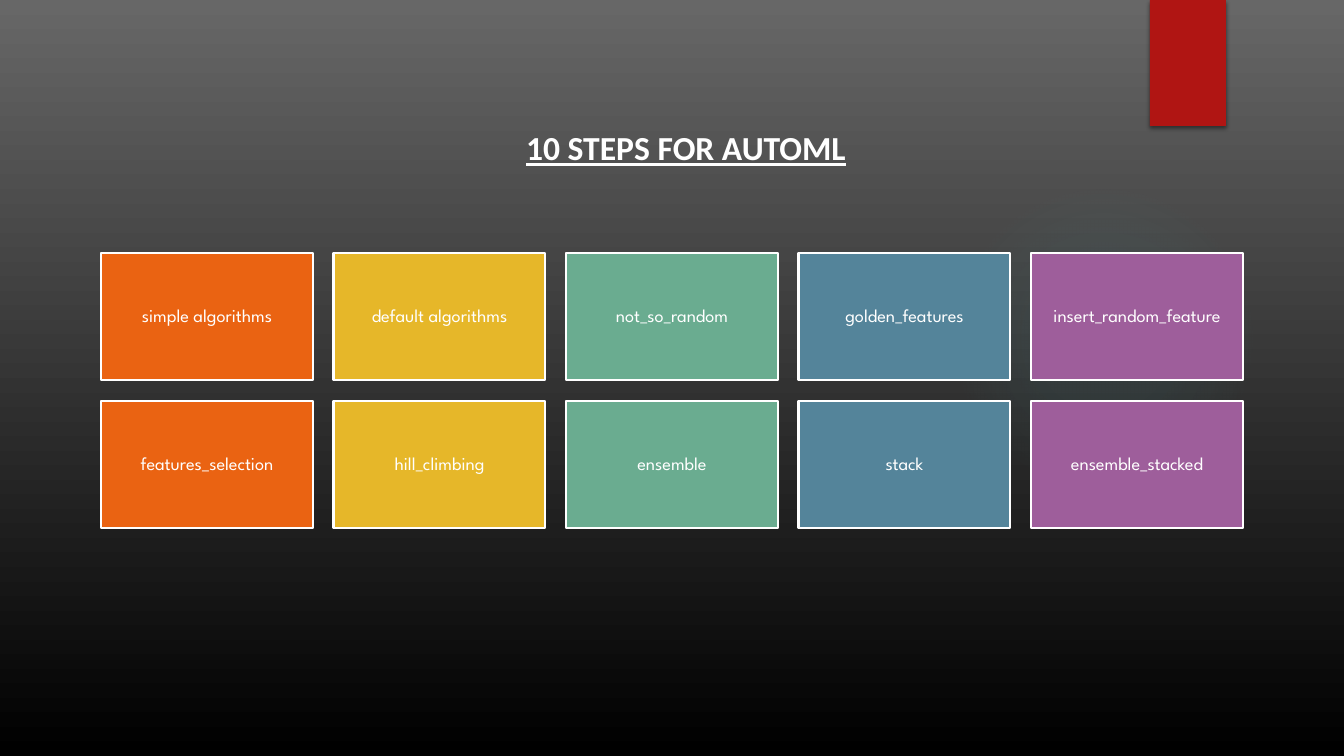
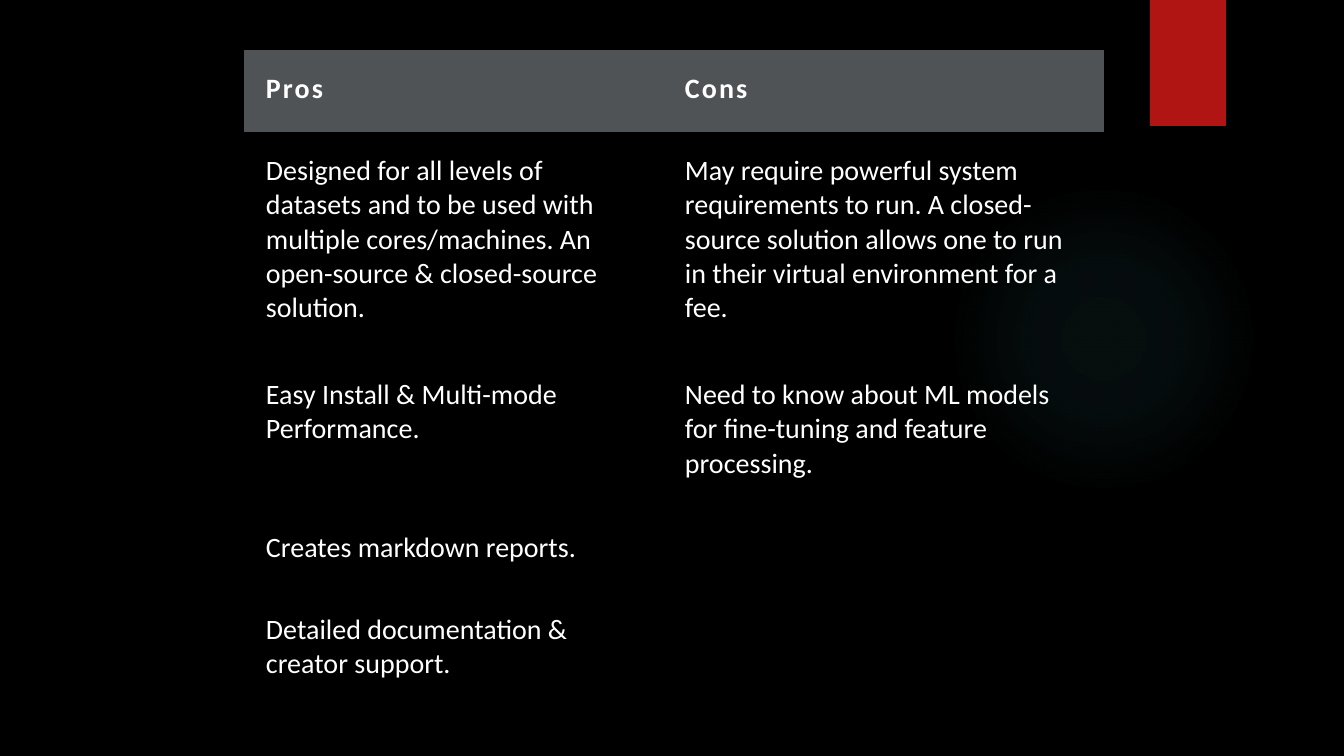
from lxml import etree
from pptx import Presentation
from pptx.dml.color import RGBColor
from pptx.enum.shapes import MSO_SHAPE as Shape
from pptx.enum.text import MSO_ANCHOR as Anchor, MSO_AUTO_SIZE as AutoSize, PP_ALIGN as Align
from pptx.oxml import parse_xml
from pptx.oxml.ns import nsdecls, qn
from pptx.util import Pt

EMU_PER_PX = 12192000 / 1344
WIDTH, HEIGHT = 1344, 756
TITLE_ONLY, BLANK = 5, 6
NO_GRID_STYLE = "{2D5ABB26-0587-4C30-8999-92F81FD0307C}"

COLORS = {
    "white": "FFFFFF", "black": "000000", "gray": "676767", "header": "505356",
    "red": "B01513", "glow": "50B9C1", "orange": "EA6312", "yellow": "E6B729",
    "green": "6AAC90", "blue": "54849A", "purple": "9E5E9B",
}
STEP_COLORS = ["orange", "yellow", "green", "blue", "purple"]
STEPS = [
    ["simple algorithms", "default algorithms", "not_so_random",
     "golden_features", "insert_random_feature"],
    ["features_selection", "hill_climbing", "ensemble", "stack", "ensemble_stacked"],
]
PROS_AND_CONS = [
    ("Pros", "Cons"),
    ("Designed for all levels of datasets and to be used with multiple "
     "cores/machines. An open-source & closed-source solution.",
     "May require powerful system requirements to run. A closed-source solution "
     "allows one to run in their virtual environment for a fee."),
    ("Easy Install & Multi-mode Performance.",
     "Need to know about ML models for fine-tuning and feature processing."),
    ("Creates markdown reports.", ""),
    ("Detailed documentation & creator support.", ""),
]


def px(length):
    return round(length * EMU_PER_PX)


def rgb(name):
    return RGBColor.from_string(COLORS[name])


class Deck:
    """Holds the shared style and the slide being filled."""

    def __init__(self):
        self.presentation = Presentation()
        self.presentation.slide_width = px(WIDTH)
        self.presentation.slide_height = px(HEIGHT)
        self.slide = None

    def add_slide(self, layout, top_color, bottom_color):
        layouts = self.presentation.slide_layouts
        self.slide = self.presentation.slides.add_slide(layouts[layout])
        fill = self.slide.background.fill
        if top_color == bottom_color:
            fill.solid()
            fill.fore_color.rgb = rgb(top_color)
        else:
            fill.gradient()
            fill.gradient_angle = 270
            for stop, color, position in zip(
                    fill.gradient_stops, (top_color, bottom_color), (0, 1)):
                stop.color.rgb = rgb(color)
                stop.position = position
        self.glow(949, 184, 310)
        self.ribbon(1150, 0, 76, 126)

    def shape(self, kind, left, top, width, height, color):
        shape = self.slide.shapes.add_shape(kind, px(left), px(top), px(width), px(height))
        shape.fill.solid()
        shape.fill.fore_color.rgb = rgb(color)
        shape.line.fill.background()
        shape.shadow.inherit = False
        return shape

    def glow(self, left, top, size):
        """Draw a circle of light that fades out towards its rim."""
        circle = self.shape(Shape.OVAL, left, top, size, size, "glow")
        stops = "".join(
            f'<a:gs pos="{position * 1000}"><a:srgbClr val="{COLORS["glow"]}">'
            f'<a:alpha val="{alpha * 1000}"/></a:srgbClr></a:gs>'
            for position, alpha in [(0, 7), (36, 6), (69, 0), (100, 0)])
        properties = circle.element.spPr
        properties.replace(properties.find(qn("a:solidFill")), parse_xml(
            f'<a:gradFill {nsdecls("a")}><a:gsLst>{stops}</a:gsLst><a:path path="circle">'
            '<a:fillToRect l="50000" t="50000" r="50000" b="50000"/></a:path></a:gradFill>'))

    def ribbon(self, left, top, width, height):
        ribbon = self.shape(Shape.RECTANGLE, left, top, width, height, "red")
        effects = ribbon.element.spPr.find(qn("a:effectLst"))
        shadow = etree.SubElement(effects, qn("a:outerShdw"), blurRad=str(Pt(3)),
                                  dist=str(Pt(2)), dir="5400000", rotWithShape="0")
        shade = etree.SubElement(shadow, qn("a:srgbClr"), val=COLORS["black"])
        etree.SubElement(shade, qn("a:alpha"), val="45000")

    def set_text(self, frame, text, size, font, bold=False, align=None, spacing=None):
        frame.text = text
        frame.word_wrap = True
        paragraph = frame.paragraphs[0]
        paragraph.alignment = align
        paragraph.line_spacing = spacing
        for run in paragraph.runs:
            run.font.size = Pt(size)
            run.font.name = font
            run.font.bold = bold
            run.font.color.rgb = rgb("white")
        return paragraph

    def title(self, text, left, top, width, height):
        title = self.slide.shapes.title
        title.left, title.top = px(left), px(top)
        title.width, title.height = px(width), px(height)
        frame = title.text_frame
        frame.auto_size = AutoSize.NONE
        frame.vertical_anchor = Anchor.MIDDLE
        heading = self.set_text(frame, text, 24, "Calibri", True, Align.JUSTIFY, 0.9)
        heading.runs[0].font.underline = True

    def step(self, text, left, top, width, height, color):
        box = self.shape(Shape.RECTANGLE, left, top, width, height, color)
        box.line.color.rgb = rgb("white")
        box.line.width = Pt(1.5)
        frame = box.text_frame
        frame.margin_left = frame.margin_right = px(5)
        frame.margin_top = frame.margin_bottom = px(5)
        frame.vertical_anchor = Anchor.MIDDLE
        self.set_text(frame, text, 13, "League Spartan", align=Align.CENTER, spacing=0.9)

    def table(self, rows, left, top, widths, heights):
        table = self.slide.shapes.add_table(
            len(rows), len(widths), px(left), px(top),
            px(sum(widths)), px(sum(heights))).table
        table.horz_banding = False
        table._tbl.tblPr.find(qn("a:tableStyleId")).text = NO_GRID_STYLE
        for column, width in zip(table.columns, widths):
            column.width = px(width)
        for row, height in zip(table.rows, heights):
            row.height = px(height)
        for row_index, texts in enumerate(rows):
            for column_index, text in enumerate(texts):
                self.cell(table.cell(row_index, column_index), text, row_index == 0)

    def cell(self, cell, text, is_header):
        cell.margin_left = cell.margin_right = px(22)
        cell.margin_top = cell.margin_bottom = px(22)
        paragraph = self.set_text(cell.text_frame, text, 20, "Calibri", is_header)
        if is_header:
            cell.fill.solid()
            cell.fill.fore_color.rgb = rgb("header")
            paragraph.runs[0].font._element.set("spc", "150")
        else:
            cell.fill.background()


def add_steps_slide(deck):
    deck.add_slide(TITLE_ONLY, "gray", "black")
    deck.title("10 STEPS FOR AUTOML", 516, 62, 433, 176)
    left, top, right = 101, 253, 1243
    width, height, row_pitch = 212, 127, 148
    column_pitch = (right - left - width) / (len(STEP_COLORS) - 1)
    for row, names in enumerate(STEPS):
        for column, (name, color) in enumerate(zip(names, STEP_COLORS)):
            deck.step(name, left + column * column_pitch, top + row * row_pitch,
                      width, height, color)


def add_pros_and_cons_slide(deck):
    deck.add_slide(BLANK, "black", "black")
    deck.table(PROS_AND_CONS, 244, 50, [419, 441], [82, 224, 153, 82, 118])


def main():
    deck = Deck()
    add_steps_slide(deck)
    add_pros_and_cons_slide(deck)
    deck.presentation.save("out.pptx")


if __name__ == "__main__":
    main()
